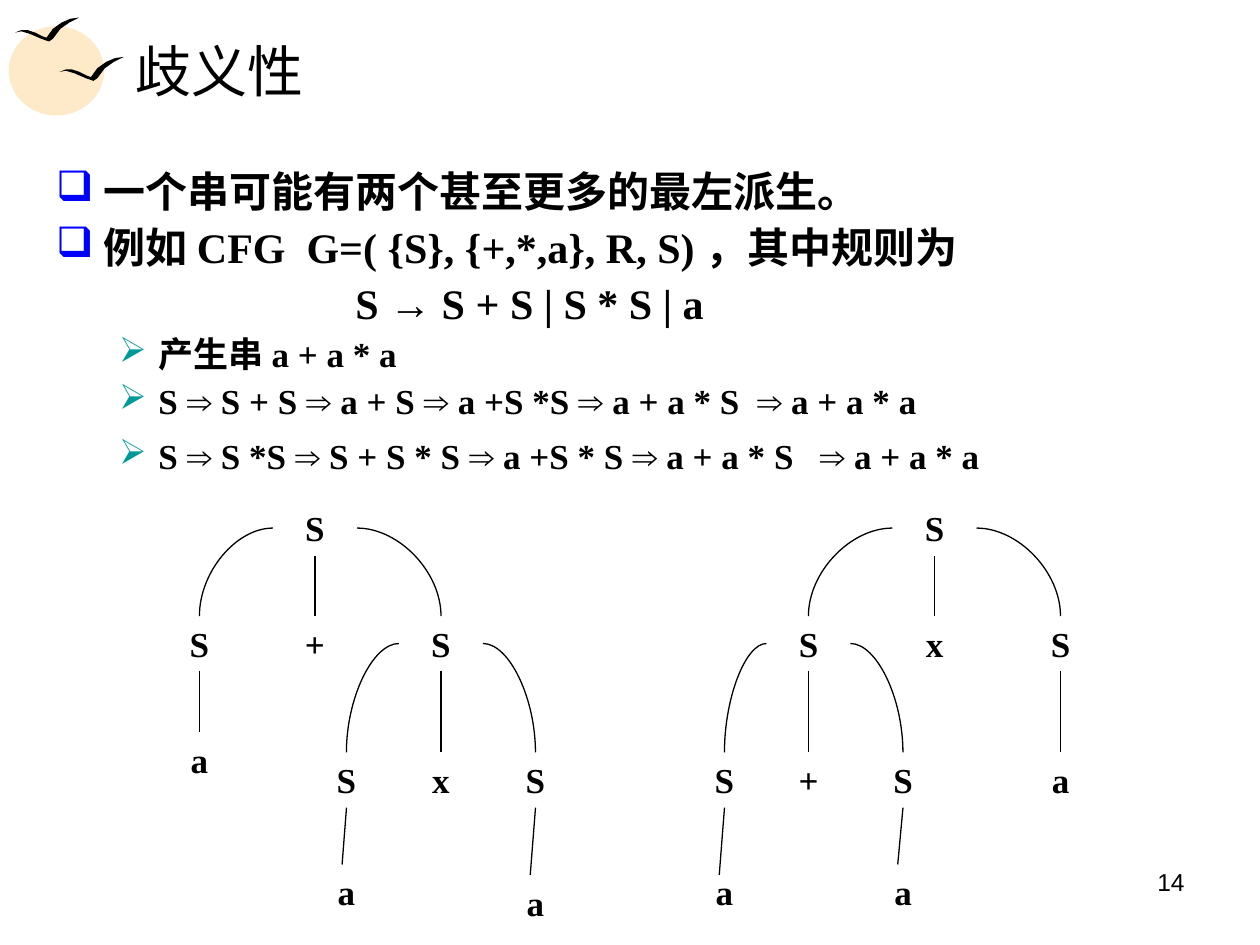
from dataclasses import dataclass
from itertools import groupby

from lxml.etree import SubElement
from pptx import Presentation
from pptx.dml.color import RGBColor
from pptx.enum.shapes import MSO_CONNECTOR as Connector, MSO_SHAPE as Shape
from pptx.enum.text import MSO_ANCHOR as Anchor, PP_ALIGN as Align
from pptx.oxml.ns import qn
from pptx.util import Pt

COLORS = {"ink": "000000", "sun": "FEE9C8", "box": "0000FF", "arrow": "009999"}
SERIF, SANS = "Times New Roman", "Arial"
ARROWS = "→⇒"
NODE_W, NODE_H = 48, 31.5
LEFT, BOTTOM, RIGHT, TOP = 1, 2, 3, 0  # connection sites of a rectangle

BIRD = [(0, 8.6), (3.6, 7.2), (7.2, 7.2), (11.5, 8.6), (15.8, 10.8), (18, 11.5),
        (21.6, 6.5), (26.6, 2.9), (31.7, 0.7), (36.7, 0), (31, 2.9), (25.9, 6.5),
        (21.6, 12.2), (19.4, 13.7), (15.1, 12.2), (8.6, 9.4), (3.6, 7.9)]

POINT = dict(left=27, hanging=27, size=24, before=6, bullet="❑", color="box")
RULE = dict(left=171, hanging=0, size=24, before=6)
STEP = dict(left=58.5, hanging=22.5, size=20, before=5, bullet="➢", color="arrow")
BODY = [
    ("一个串可能有两个甚至更多的最左派生。", POINT | {"before": 0}),
    ("例如 CFG  G=( {S}, {+,*,a}, R, S) ，其中规则为", POINT),
    ("S → S + S | S * S | a", RULE),
    ("产生串 a + a * a", STEP),
    ("S ⇒ S + S ⇒ a + S ⇒ a +S *S ⇒ a + a * S  ⇒ a + a * a", STEP),
    ("S ⇒ S *S ⇒ S + S * S ⇒ a +S * S ⇒ a + a * S   ⇒ a + a * a",
     STEP | {"before": 10}),
]


@dataclass
class Node:
    """A tree symbol; lean and dip shift the foot of the line that leads to it."""
    label: str
    x: float
    top: float
    children: tuple = ()
    lean: float = 0
    dip: float = 0


ADDITION_FIRST = Node("S", 180, 286, (
    Node("S", 114, 352, (Node("a", 114, 418.5),)),
    Node("+", 180, 352),
    Node("S", 252, 352, (
        Node("S", 198, 430, (Node("a", 198, 494, lean=-2.5),)),
        Node("x", 252, 430),
        Node("S", 306, 430, (Node("a", 306, 500, lean=-3),)),
    )),
))
PRODUCT_FIRST = Node("S", 534, 286, (
    Node("S", 462, 352, (
        Node("S", 414, 430, (Node("a", 414, 494, lean=-3, dip=6),)),
        Node("+", 462, 430),
        Node("S", 516, 430, (Node("a", 516, 494, lean=-3),)),
    )),
    Node("x", 534, 352),
    Node("S", 606, 352, (Node("a", 606, 430),)),
))


def rgb(name):
    return RGBColor.from_string(COLORS[name])


def paint(shape, color):
    shape.shadow.inherit = False
    shape.fill.solid()
    shape.fill.fore_color.rgb = rgb(color)
    shape.line.fill.background()


def add_sun(shapes, *box):
    paint(shapes.add_shape(Shape.OVAL, *map(Pt, box)), "sun")


def add_bird(shapes, x, y):
    tenths = [(round(px * 10), round(py * 10)) for px, py in BIRD]
    builder = shapes.build_freeform(*tenths[0], scale=Pt(1) / 10)
    builder.add_line_segments(tenths[1:])
    paint(builder.convert_to_shape(Pt(x), Pt(y)), "ink")


def text_frame(shapes, *box):
    frame = shapes.add_textbox(*map(Pt, box)).text_frame
    frame.word_wrap = True
    return frame


def add_run(paragraph, text, **font_format):
    run = paragraph.add_run()
    run.text = text
    run.font.color.rgb = rgb("ink")
    for attribute, value in font_format.items():
        setattr(run.font, attribute, value)


def add_label(shapes, text, box, align=Align.LEFT, anchor=Anchor.TOP, **font_format):
    frame = text_frame(shapes, *box)
    frame.vertical_anchor = anchor
    frame.paragraphs[0].alignment = align
    add_run(frame.paragraphs[0], text, **font_format)
    return frame


def set_indent_and_bullet(paragraph, style):
    props = paragraph._p.get_or_add_pPr()
    props.set("marL", str(Pt(style["left"])))
    props.set("indent", str(-Pt(style["hanging"])))
    if "bullet" in style:
        color = SubElement(props, qn("a:buClr"))
        SubElement(color, qn("a:srgbClr"), val=COLORS[style["color"]])
        SubElement(props, qn("a:buChar"), char=style["bullet"])


def add_body(shapes):
    frame = text_frame(shapes, 25, 94.5, 659, 198.5)
    for index, (text, style) in enumerate(BODY):
        paragraph = frame.add_paragraph() if index else frame.paragraphs[0]
        set_indent_and_bullet(paragraph, style)
        paragraph.line_spacing = 0.9
        if style["before"]:
            paragraph.space_before = Pt(style["before"])
        for is_arrow, chars in groupby(text, key=lambda char: char in ARROWS):
            add_run(paragraph, "".join(chars), name=SANS if is_arrow else SERIF,
                    size=Pt(style["size"]), bold=True)


def add_branch(shapes, kind, start, end):
    branch = shapes.add_connector(kind, *map(Pt, (*start, *end)))
    branch.line.color.rgb = rgb("ink")
    branch.line.width = Pt(0.75)
    SubElement(branch._element.spPr, qn("a:effectLst"))
    return branch


def add_curve(shapes, parent, child, parent_box, child_box):
    """Quarter bend from the side of the parent to the top of the child."""
    side, offset = (LEFT, -NODE_W / 2) if child.x < parent.x else (RIGHT, NODE_W / 2)
    start = (parent.x + offset, parent.top + NODE_H / 2)
    curve = add_branch(shapes, Connector.CURVE, start, (child.x, child.top))
    curve._element.spPr.find(qn("a:prstGeom")).set("prst", "curvedConnector2")
    curve.begin_connect(parent_box, side)
    curve.end_connect(child_box, TOP)


def add_tree(shapes, node):
    """Draw a node with all below it and return the box of the node."""
    box = (node.x - NODE_W / 2, node.top, NODE_W, NODE_H)
    add_label(shapes, node.label, box, Align.CENTER,
              name=SERIF, size=Pt(20), bold=True)
    node_box = shapes[-1]
    for child in node.children:
        child_box = add_tree(shapes, child)
        if child.x == node.x:
            add_branch(shapes, Connector.STRAIGHT, (node.x, node.top + NODE_H),
                       (child.x + child.lean, child.top + child.dip))
        else:
            add_curve(shapes, node, child, node_box, child_box)
    return node_box


def main():
    deck = Presentation()
    deck.slide_width, deck.slide_height = Pt(720), Pt(540)
    shapes = deck.slides.add_slide(deck.slide_layouts[6]).shapes

    add_sun(shapes, 5, 15, 54.5, 51)
    add_bird(shapes, 34, 32.5)
    add_bird(shapes, 8.6, 10)
    add_label(shapes, "14", (516, 492, 168, 37.5), Align.RIGHT, name=SANS, size=Pt(14))
    add_label(shapes, "歧义性", (70.5, 15, 614, 50), anchor=Anchor.MIDDLE,
              name=SERIF, size=Pt(32))
    add_body(shapes)
    for tree in (ADDITION_FIRST, PRODUCT_FIRST):
        add_tree(shapes.add_group_shape().shapes, tree)

    deck.save("out.pptx")


if __name__ == "__main__":
    main()
